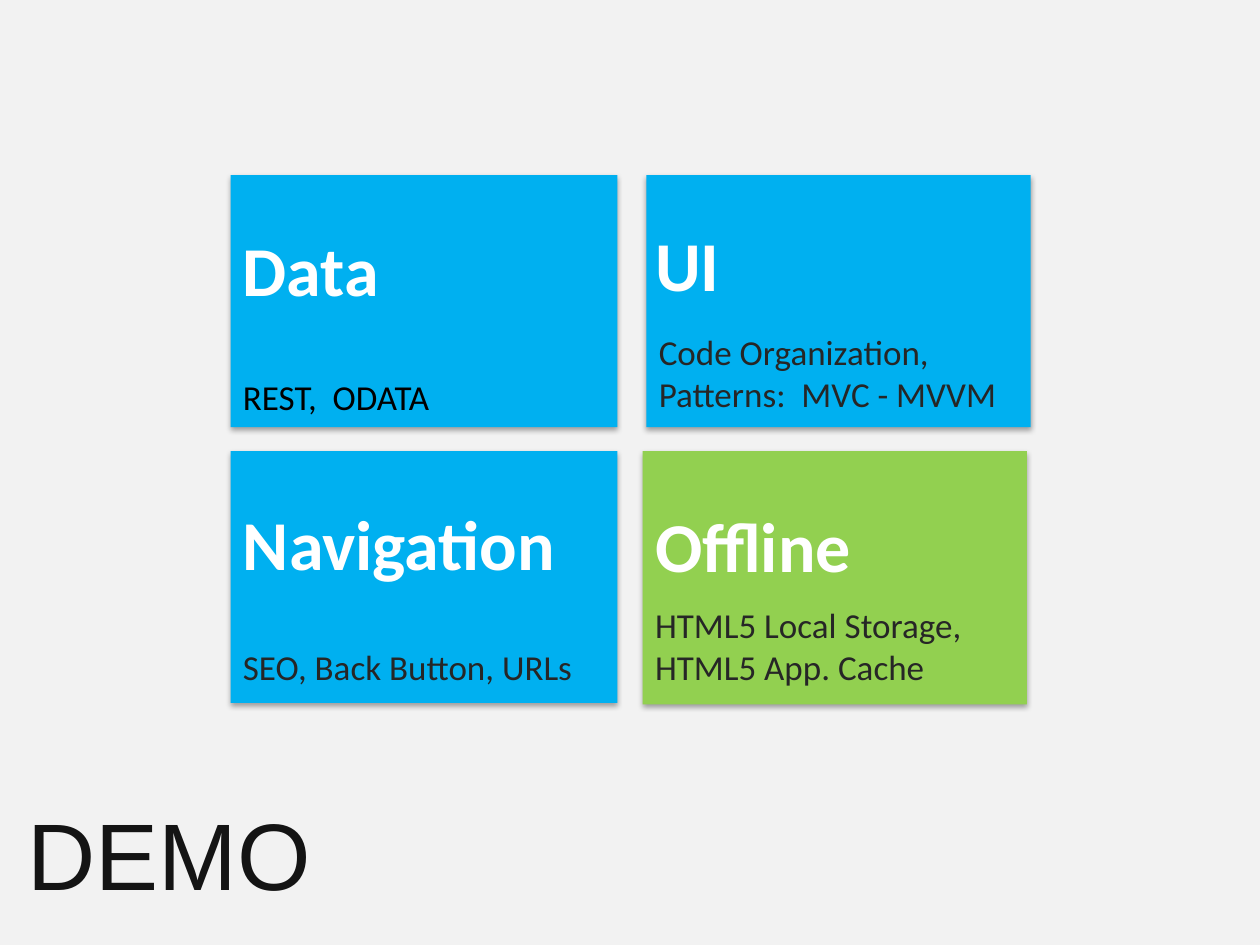
import pptx
import pptx.util
import pptx.dml.color
import pptx.enum.shapes
import pptx.oxml
import pptx.oxml.ns

Inches = pptx.util.Inches
RGBColor = pptx.dml.color.RGBColor
BLUE = RGBColor(0x00, 0xB0, 0xF0)
GREEN = RGBColor(0x92, 0xD0, 0x50)
WHITE = RGBColor(0xFF, 0xFF, 0xFF)
BLACK = RGBColor(0x00, 0x00, 0x00)
DARK = RGBColor(0x26, 0x26, 0x26)
INK = RGBColor(0x14, 0x14, 0x14)
PAPER = RGBColor(0xF2, 0xF2, 0xF2)

SHADE = (
    '<a:effectLst %s><a:outerShdw blurRad="39370" dist="22860" dir="5400000" '
    'rotWithShape="0"><a:srgbClr val="000000"><a:alpha val="35000"/></a:srgbClr>'
    '</a:outerShdw></a:effectLst>' % pptx.oxml.ns.nsdecls("a")
)


def write(slide, text, box, size=20, color=DARK, font="Calibri", bold=False, wrap=True):
    area = slide.shapes.add_textbox(*map(Inches, box))
    frame = area.text_frame
    frame.word_wrap = wrap
    frame.text = text
    for para in frame.paragraphs:
        face = para.runs[0].font
        face.name = font
        face.size = pptx.util.Pt(size)
        face.bold = bold
        face.color.rgb = color


def tile(slide, box, fill, head, note, color=DARK):
    left, top, width, height = box
    rect = slide.shapes.add_shape(
        pptx.enum.shapes.MSO_SHAPE.RECTANGLE, *map(Inches, box))
    rect.fill.solid()
    rect.fill.fore_color.rgb = fill
    rect.line.fill.background()
    rect._element.spPr.append(pptx.oxml.parse_xml(SHADE))
    name, shift, drop, wide = head
    write(slide, name, (left + shift, top + drop, wide, 0.8),
          size=40, color=WHITE, bold=True, wrap=False)
    words, drop, tall = note
    write(slide, words, (left, top + drop, width, tall), color=color)


def board(slide, left, top):
    tile(slide, (left, top, 3.07, 2), BLUE,
         ("Data", 0, 0.36, 1.52), ("REST,  ODATA", 1.54, 0.49), BLACK)
    tile(slide, (left + 3.3, top, 3.05, 2), BLUE,
         ("UI", -0.03, 0.32, 0.88),
         ("Code Organization,\nPatterns:  MVC - MVVM", 1.18, 0.87))
    tile(slide, (left, top + 2.19, 3.07, 2), BLUE,
         ("Navigation", 0, 0.34, 2.71), ("SEO, Back Button, URLs", 1.49, 0.44))
    tile(slide, (left + 3.27, top + 2.19, 3.05, 2.01), GREEN,
         ("Offline", 0, 0.36, 2.01),
         ("HTML5 Local Storage, HTML5 App. Cache", 1.16, 0.85))


deck = pptx.Presentation()
deck.slide_width = Inches(10)
deck.slide_height = Inches(7.5)
slide = deck.slides.add_slide(deck.slide_layouts[6])
slide.background.fill.solid()
slide.background.fill.fore_color.rgb = PAPER
board(slide, 1.83, 1.39)
write(slide, "DEMO", (0.12, 6.27, 2.47, 1.01), size=54, color=INK,
      font="Arial", wrap=False)
deck.save("out.pptx")
